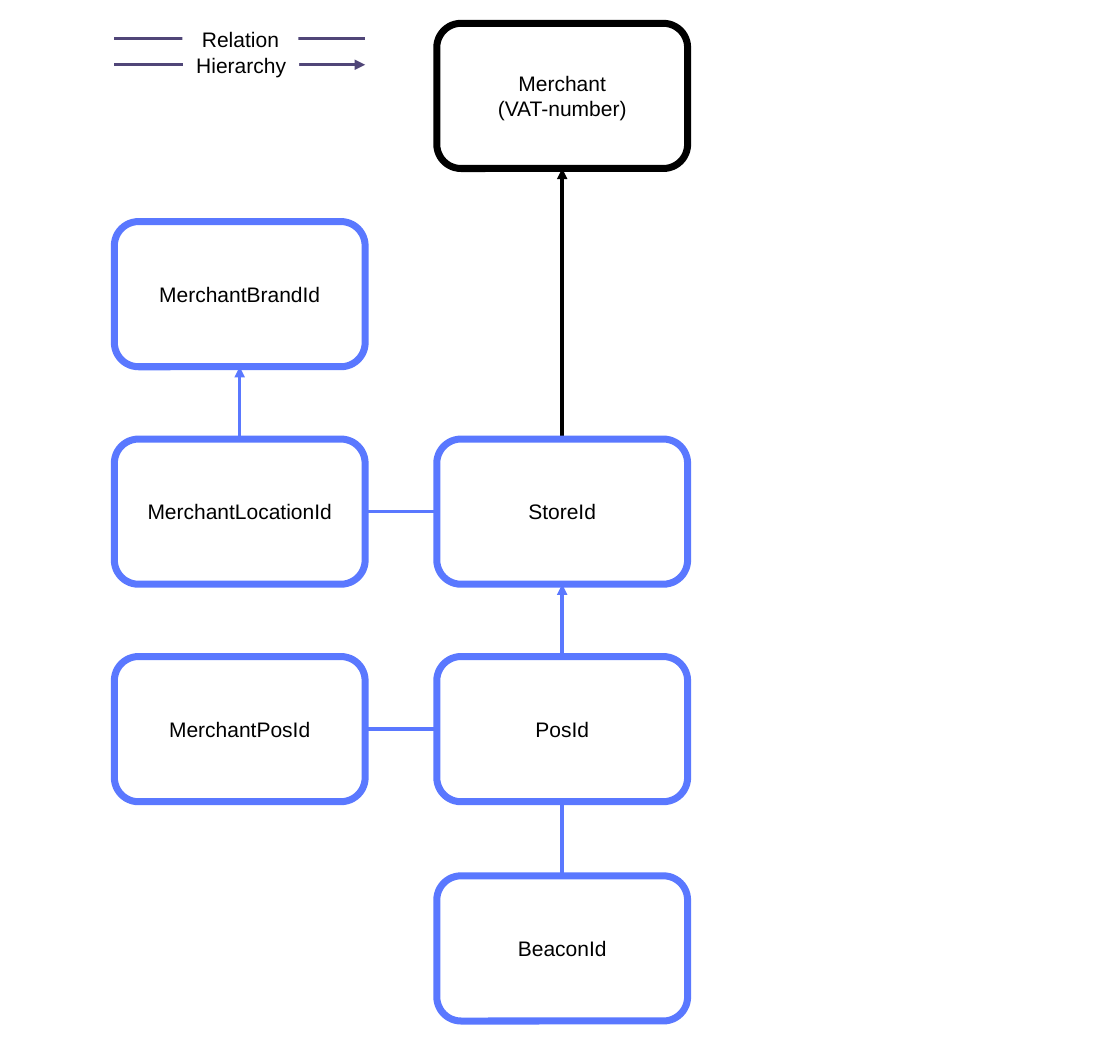
import pptx
import pptx.util
import pptx.dml.color
import pptx.enum.shapes
import pptx.enum.text
import pptx.oxml.ns
import lxml.etree

Pt = pptx.util.Pt
SHAPE = pptx.enum.shapes.MSO_SHAPE
BLACK = pptx.dml.color.RGBColor(0x00, 0x00, 0x00)
WHITE = pptx.dml.color.RGBColor(0xFF, 0xFF, 0xFF)
BLUE = pptx.dml.color.RGBColor(0x5A, 0x78, 0xFF)
PURPLE = pptx.dml.color.RGBColor(0x50, 0x46, 0x78)

BOX_WIDTH, BOX_HEIGHT = 215, 124.5
LINE_HEIGHT = 22
MERCHANT_COLUMN, STORE_COLUMN = 98, 374.4
TOP, BOTTOM, RIGHT, LEFT = 0, 2, 3, 1  # connection sites of a box

# text, left, top, label width, outline colour
NODES = [
    ("MerchantLocationId", MERCHANT_COLUMN, 376.5, 172, BLUE),
    ("MerchantBrandId", MERCHANT_COLUMN, 190, 153, BLUE),
    ("StoreId", STORE_COLUMN, 376.5, 63, BLUE),
    ("MerchantPosId", MERCHANT_COLUMN, 563, 132, BLUE),
    ("PosId", STORE_COLUMN, 563, 51, BLUE),
    ("BeaconId", STORE_COLUMN, 751, 87, BLUE),
    ("Merchant\n(VAT-number)", STORE_COLUMN, 20, 153, BLACK),
]
# from, site, to, site, arrow
LINKS = [
    ("PosId", BOTTOM, "BeaconId", TOP, False),
    ("MerchantPosId", RIGHT, "PosId", LEFT, False),
    ("PosId", TOP, "StoreId", BOTTOM, True),
    ("MerchantLocationId", RIGHT, "StoreId", LEFT, False),
    ("MerchantLocationId", TOP, "MerchantBrandId", BOTTOM, True),
]
# text, left of the label, top of the label, arrow
LEGEND = [("Hierarchy", 157, 44.5, True), ("Relation", 156.4, 22.2, False)]
LEGEND_LABEL_WIDTH = 99.4


def write_text(shape, text):
    """Write centred 18 pt text without margins into a shape."""
    frame = shape.text_frame
    frame.text = text
    frame.word_wrap = True
    frame.auto_size = pptx.enum.text.MSO_AUTO_SIZE.SHAPE_TO_FIT_TEXT
    frame.margin_left = frame.margin_right = 0
    frame.margin_top = frame.margin_bottom = 0
    for paragraph in frame.paragraphs:
        paragraph.alignment = pptx.enum.text.PP_ALIGN.CENTER
        for run in paragraph.runs:
            run.font.name = "Arial"
            run.font.size = Pt(18)
            run.font.color.rgb = BLACK


def add_panel(slide, kind, left, top, width, height):
    """Add a white shape without shadow or outline."""
    shape = slide.shapes.add_shape(kind, Pt(left), Pt(top), Pt(width), Pt(height))
    shape.shadow.inherit = False
    shape.fill.solid()
    shape.fill.fore_color.rgb = WHITE
    shape.line.fill.background()
    return shape


def add_node(slide, text, left, top, label_width, color):
    """Add a rounded box with its label centred over it."""
    box = add_panel(slide, SHAPE.ROUNDED_RECTANGLE, left, top, BOX_WIDTH, BOX_HEIGHT)
    box.line.color.rgb = color
    box.line.width = Pt(6)
    label_height = LINE_HEIGHT * len(text.split("\n"))
    label = slide.shapes.add_textbox(
        Pt(left + (BOX_WIDTH - label_width) / 2),
        Pt(top + (BOX_HEIGHT - label_height) / 2),
        Pt(label_width), Pt(label_height))
    write_text(label, text)
    return box


def add_line(slide, start, end, color, arrow):
    """Add a straight 3 pt line, with an arrowhead at its end if wanted."""
    line = slide.shapes.add_connector(
        pptx.enum.shapes.MSO_CONNECTOR.STRAIGHT,
        Pt(start[0]), Pt(start[1]), Pt(end[0]), Pt(end[1]))
    line.line.color.rgb = color
    line.line.width = Pt(3)
    qn = pptx.oxml.ns.qn
    if arrow:
        outline = line.line._get_or_add_ln()
        lxml.etree.SubElement(outline, qn("a:tailEnd"), type="triangle")
    lxml.etree.SubElement(line._element.spPr, qn("a:effectLst"))
    return line


def link_boxes(slide, start_box, start_site, end_box, end_site, color, arrow):
    """Glue a line to the connection sites of two boxes."""
    line = add_line(slide, (0, 0), (0, 0), color, arrow)
    line.begin_connect(start_box, start_site)
    line.end_connect(end_box, end_site)
    return line


def add_legend_row(slide, text, left, top, arrow):
    """Add a legend line with its label covering the middle."""
    middle = top + LINE_HEIGHT / 2
    add_line(slide, (MERCHANT_COLUMN, middle),
             (MERCHANT_COLUMN + BOX_WIDTH, middle), PURPLE, arrow)
    label = add_panel(slide, SHAPE.RECTANGLE, left, top,
                      LEGEND_LABEL_WIDTH, LINE_HEIGHT)
    write_text(label, text)


def main():
    """Build the identifier diagram."""
    presentation = pptx.Presentation()
    presentation.slide_width = Pt(960)
    presentation.slide_height = Pt(907.2)
    slide = presentation.slides.add_slide(presentation.slide_layouts[6])

    boxes = {node[0]: add_node(slide, *node) for node in NODES}
    for start, start_site, end, end_site, arrow in LINKS:
        link_boxes(slide, boxes[start], start_site, boxes[end], end_site, BLUE, arrow)

    merchant_line = link_boxes(slide, boxes["StoreId"], TOP,
                               boxes["Merchant\n(VAT-number)"], BOTTOM, BLACK, True)
    # Send behind the boxes, after the two property elements of the shape tree
    merchant_line._element.getparent().insert(2, merchant_line._element)

    for row in LEGEND:
        add_legend_row(slide, *row)
    presentation.save("out.pptx")


main()
